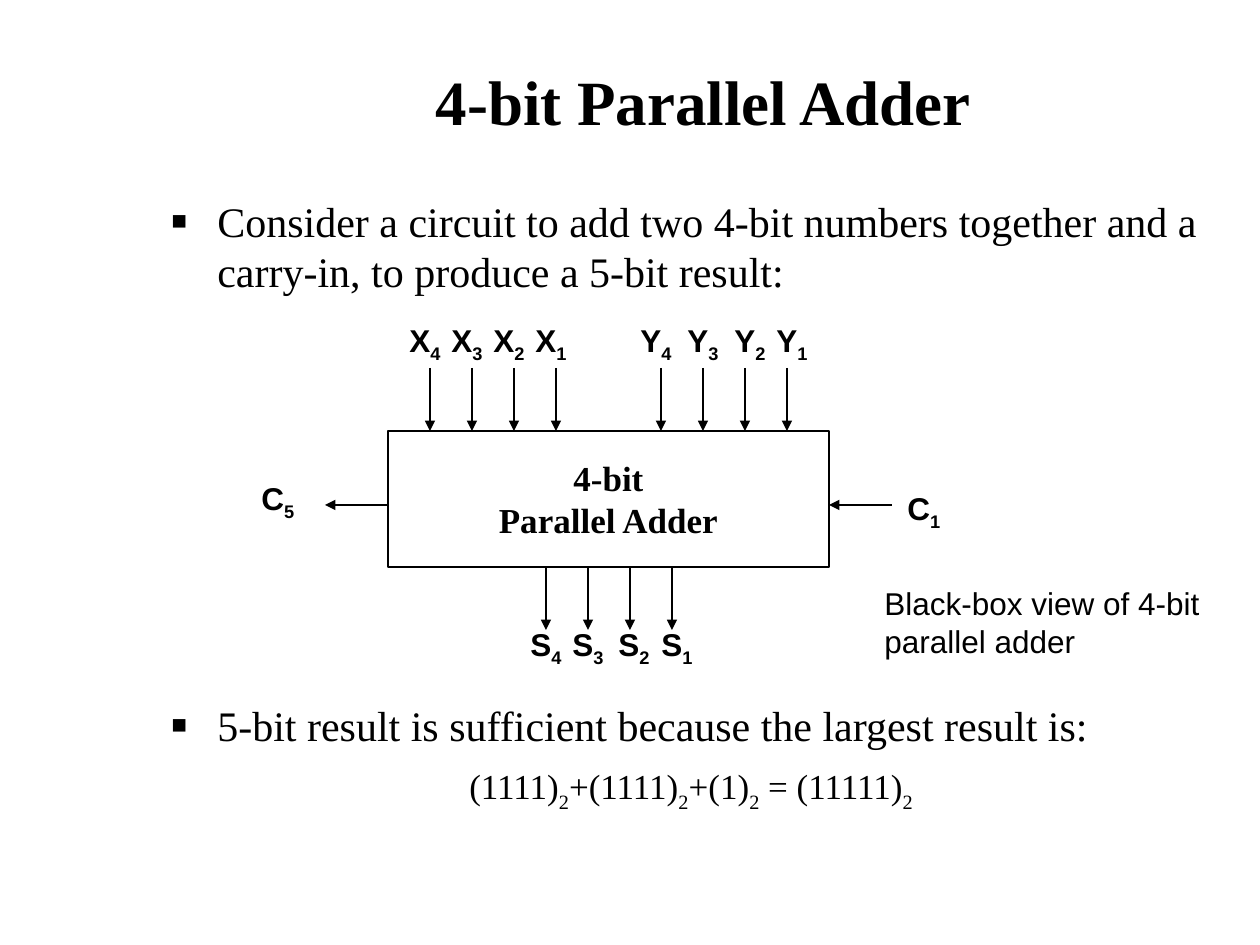
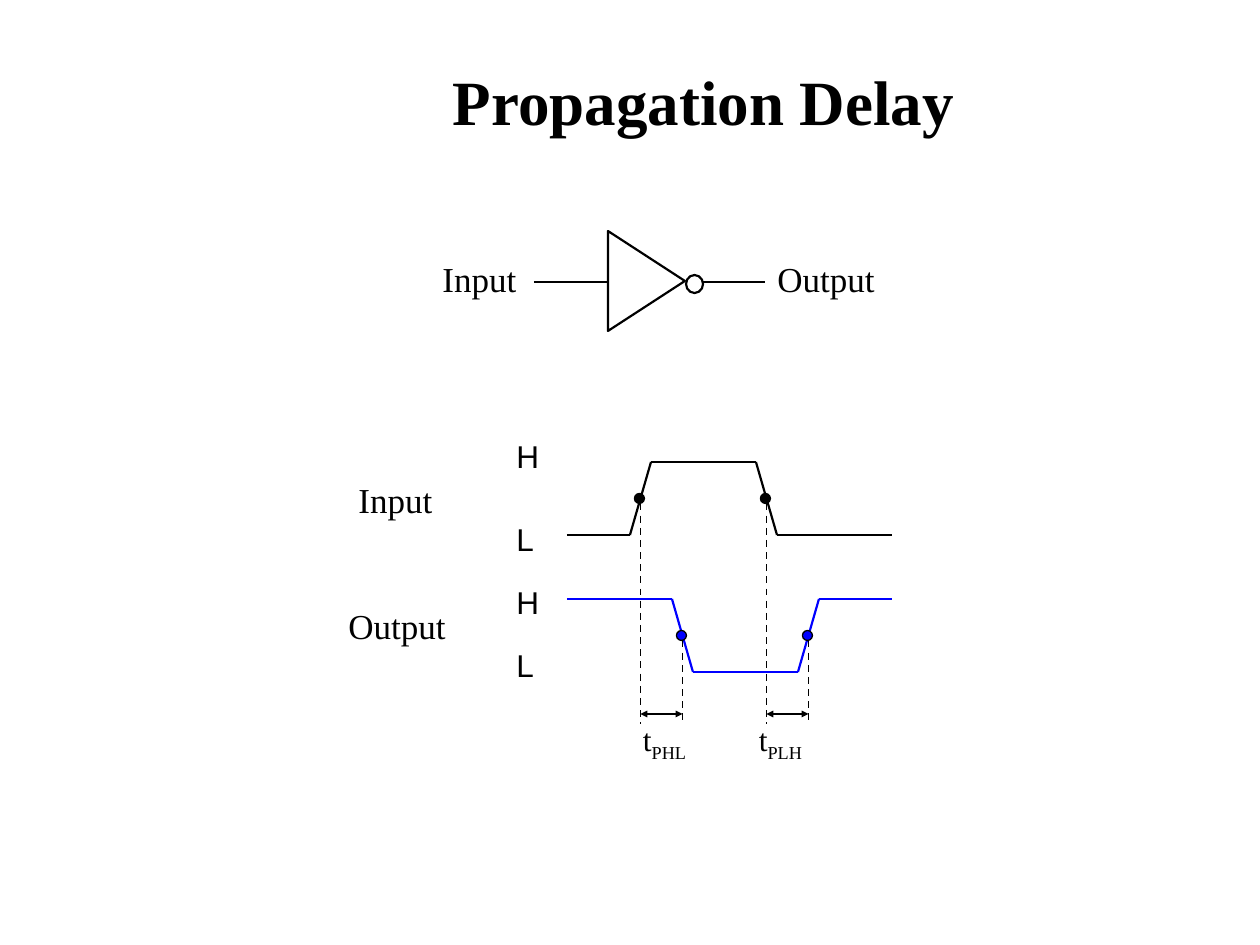
from itertools import pairwise

from lxml import etree
from pptx import Presentation
from pptx.dml.color import RGBColor
from pptx.enum.dml import MSO_LINE
from pptx.enum.shapes import MSO_CONNECTOR, MSO_SHAPE
from pptx.enum.text import MSO_ANCHOR, PP_ALIGN
from pptx.oxml.ns import qn
from pptx.util import Pt

EMU_PER_PIXEL = 914400 // 126
BLACK = RGBColor(0x00, 0x00, 0x00)
BLUE = RGBColor(0x00, 0x00, 0xFF)
SERIF = "Times New Roman"
SANS = "Arial"
LEFT, CENTER = PP_ALIGN.LEFT, PP_ALIGN.CENTER
TOP, MIDDLE = MSO_ANCHOR.TOP, MSO_ANCHOR.MIDDLE
RECTANGLE, OVAL = MSO_SHAPE.RECTANGLE, MSO_SHAPE.OVAL
MERGE = MSO_SHAPE.FLOWCHART_MERGE
STRAIGHT = MSO_CONNECTOR.STRAIGHT
DASH = MSO_LINE.DASH

TITLE_BOX = (168, 21, 1071, 158)
PITCH = 42  # distance between neighbouring signal lines
LABEL_WIDTH = 74
LABEL_HEIGHT = 55


def px(pixels):
    """Turn pixels into EMU."""
    return round(pixels * EMU_PER_PIXEL)


def add_run(paragraph, text, size, font=SERIF, bold=False, subscript=0):
    """Append one run; subscript is the drop in percent."""
    run = paragraph.add_run()
    run.text = text
    run.font.size = Pt(size)
    run.font.name = font
    run.font.bold = bold
    run.font.color.rgb = BLACK
    if subscript:
        run.font._element.set("baseline", str(-1000 * subscript))


def add_text_box(slide, box, align=LEFT, anchor=TOP):
    """Add a wrapping text box and return its text frame."""
    frame = slide.shapes.add_textbox(*map(px, box)).text_frame
    frame.word_wrap = True
    frame.vertical_anchor = anchor
    frame.paragraphs[0].alignment = align
    return frame


def add_label(slide, box, text, size, font=SERIF, bold=False, subscript="", align=LEFT):
    """Add a one-paragraph label with an optional subscript."""
    paragraph = add_text_box(slide, box, align).paragraphs[0]
    add_run(paragraph, text, size, font, bold)
    if subscript:
        add_run(paragraph, subscript, size, font, bold, 25)


def add_title(slide, text):
    """Add the title that all slides share."""
    frame = add_text_box(slide, TITLE_BOX, CENTER, MIDDLE)
    add_run(frame.paragraphs[0], text, 36, bold=True)


def add_bullet(slide, box, text):
    """Add a text box that opens with a bullet and return its frame."""
    frame = add_text_box(slide, box)
    paragraph = frame.paragraphs[0]
    add_run(paragraph, text, 24)
    properties = paragraph._p.get_or_add_pPr()
    properties.set("marL", str(px(47)))
    properties.set("indent", str(px(-47)))
    etree.SubElement(properties, qn("a:buSzPct")).set("val", "120000")
    etree.SubElement(properties, qn("a:buFont")).set("typeface", SANS)
    etree.SubElement(properties, qn("a:buChar")).set("char", "▪")
    return frame


def add_line(slide, start, end, color=BLACK, width=1.25, dash=None, ends=(), head="med"):
    """Draw a line; ends names the ends that carry an arrowhead."""
    connector = slide.shapes.add_connector(STRAIGHT, *map(px, (*start, *end)))
    connector.line.color.rgb = color
    connector.line.width = Pt(width)
    if dash:
        connector.line.dash_style = dash
    outline = connector.line._get_or_add_ln()
    for end_name in ends:
        arrow = etree.SubElement(outline, qn(f"a:{end_name}"))
        for key, value in (("type", "triangle"), ("w", head), ("len", head)):
            arrow.set(key, value)
    etree.SubElement(connector._element.spPr, qn("a:effectLst"))


def add_arrow(slide, start, end):
    """Draw a line with an arrowhead at its end."""
    add_line(slide, start, end, ends=("tailEnd",))


def add_outline(slide, kind, box, width=1.25, fill=None):
    """Add a black-lined shape, hollow unless a fill is given."""
    shape = slide.shapes.add_shape(kind, *map(px, box))
    shape.shadow.inherit = False
    if fill is None:
        shape.fill.background()
    else:
        shape.fill.solid()
        shape.fill.fore_color.rgb = fill
    shape.line.color.rgb = BLACK
    shape.line.width = Pt(width)
    return shape


def add_signal_label(slide, center, top, name, index):
    """Add a bold signal name with its index, centred on a column."""
    box = (center - LABEL_WIDTH / 2, top, LABEL_WIDTH, LABEL_HEIGHT)
    add_label(slide, box, name, 18, SANS, True, str(index), CENTER)


def add_bus(slide, name, first, start, end, label_top, label_shifts):
    """Draw four parallel arrows, highest bit first, with their labels."""
    for position, shift in enumerate(label_shifts):
        x = first + position * PITCH
        add_arrow(slide, (x, start), (x, end))
        add_signal_label(slide, x + shift, label_top, name, 4 - position)


def add_adder(slide, box):
    """Draw the adder block in the box, with its signals around it."""
    left, top, width, height = box
    right, bottom, carry = left + width, top + height, top + 74
    frame = add_outline(slide, RECTANGLE, box, 1.5).text_frame
    frame.vertical_anchor = MIDDLE
    for paragraph, text in zip((frame.paragraphs[0], frame.add_paragraph()),
                               ("4-bit", "Parallel Adder")):
        paragraph.alignment = CENTER
        add_run(paragraph, text, 20, bold=True)
    add_bus(slide, "X", left + 42, top - 63, top, top - 116, (-5, -5, -5, -5))
    add_bus(slide, "Y", left + 273, top - 63, top, top - 116, (-5, 0, 5, 5))
    add_bus(slide, "S", left + 158, bottom, bottom + 63, bottom + 52, (0, 0, 4, 5))
    add_arrow(slide, (left, carry), (left - 63, carry))
    add_arrow(slide, (right + 63, carry), (right, carry))
    add_signal_label(slide, left - 110, top + 42, "C", 5)
    add_signal_label(slide, right + 95, top + 52, "C", 1)


def add_result(slide, box):
    """Add the closing bullet and the sum in base two below it."""
    frame = add_bullet(slide, box, "5-bit result is sufficient because the largest result is:")
    paragraph = frame.add_paragraph()
    paragraph.space_before = Pt(8.5)
    paragraph._p.get_or_add_pPr().set("marL", str(px(299)))
    for term in ("(1111)", "+(1111)", "+(1)", " = (11111)"):
        add_run(paragraph, term, 20)
        add_run(paragraph, "2", 20, subscript=30)


def add_inverter(slide, box):
    """Draw an inverter whose triangle fills the box, with both wires."""
    left, top, width, height = box
    right, wire = left + width, top + 51
    turned = (left + (width - height) / 2, top + (height - width) / 2, height, width)
    add_outline(slide, MERGE, turned).rotation = 270
    add_outline(slide, OVAL, (right + 1, top + 44, 17, 18))
    add_line(slide, (left - 74, wire), (left, wire))
    add_line(slide, (right + 18, wire), (right + 80, wire))
    add_label(slide, (left - 178, top + 20, 105, LABEL_HEIGHT), "Input", 20)
    add_label(slide, (right + 80, top + 20, 126, LABEL_HEIGHT), "Output", 20)


def add_wave(slide, box, edges, inverted, color):
    """Draw one pulse in the box and return the middles of its edges."""
    left, top, width, height = box
    slope = 21
    rest, active = (top, top + height) if inverted else (top + height, top)
    first, second = (left + edge for edge in edges)
    points = [(left, rest), (first, rest), (first + slope, active),
              (second, active), (second + slope, rest), (left + width, rest)]
    for start, end in pairwise(points):
        add_line(slide, start, end, color)
    middles = [(x + slope / 2, top + height / 2) for x in (first, second)]
    for x, y in middles:
        add_outline(slide, OVAL, (x - 6, y - 5, 10, 10), 0.75, color)
    return middles


def add_timing(slide, box):
    """Draw the input and output pulses and the delays between them."""
    left, top, width, height = box
    wave_height = 73
    output_top = top + height - wave_height
    input_edges = add_wave(slide, (left, top, width, wave_height), (63, 189), False, BLACK)
    output_edges = add_wave(slide, (left, output_top, width, wave_height), (105, 231), True, BLUE)
    for x, y in input_edges + output_edges:
        add_line(slide, (x, y + 5), (x, top + 262), width=1, dash=DASH)
    span = top + 252
    delays = zip(input_edges, output_edges, ("PHL", "PLH"), (-10, -20))
    for (start, _), (end, _), name, shift in delays:
        add_line(slide, (start, span), (end, span), ends=("headEnd", "tailEnd"), head="sm")
        add_label(slide, (start + shift, span, 84, LABEL_HEIGHT), "t", 18, subscript=name)
    for level, offset in zip("HLHL", (-31, 52, 115, 178)):
        add_label(slide, (left - 63, top + offset, 53, 50), level, 18, SANS)
    add_label(slide, (left - 221, top + 10, 105, LABEL_HEIGHT), "Input", 20)
    add_label(slide, (left - 231, top + 136, 126, LABEL_HEIGHT), "Output", 20)


def build_adder_slide(slide):
    """Fill the slide on the parallel adder."""
    add_title(slide, "4-bit Parallel Adder")
    add_bullet(slide, (158, 189, 1071, 126), "Consider a circuit to add two 4-bit numbers "
               "together and a carry-in, to produce a 5-bit result:")
    add_adder(slide, (388, 431, 441, 136))
    add_label(slide, (872, 578, 346, 88), "Black-box view of 4-bit parallel adder", 18, SANS)
    add_result(slide, (158, 693, 1071, 136))


def build_delay_slide(slide):
    """Fill the slide on propagation delay."""
    add_title(slide, "Propagation Delay")
    add_inverter(slide, (608, 231, 77, 100))
    add_timing(slide, (567, 462, 325, 210))


presentation = Presentation()
presentation.slide_width = px(1260)
presentation.slide_height = px(945)
blank = presentation.slide_layouts[6]
for build in (build_adder_slide, build_delay_slide):
    build(presentation.slides.add_slide(blank))
presentation.save("out.pptx")
